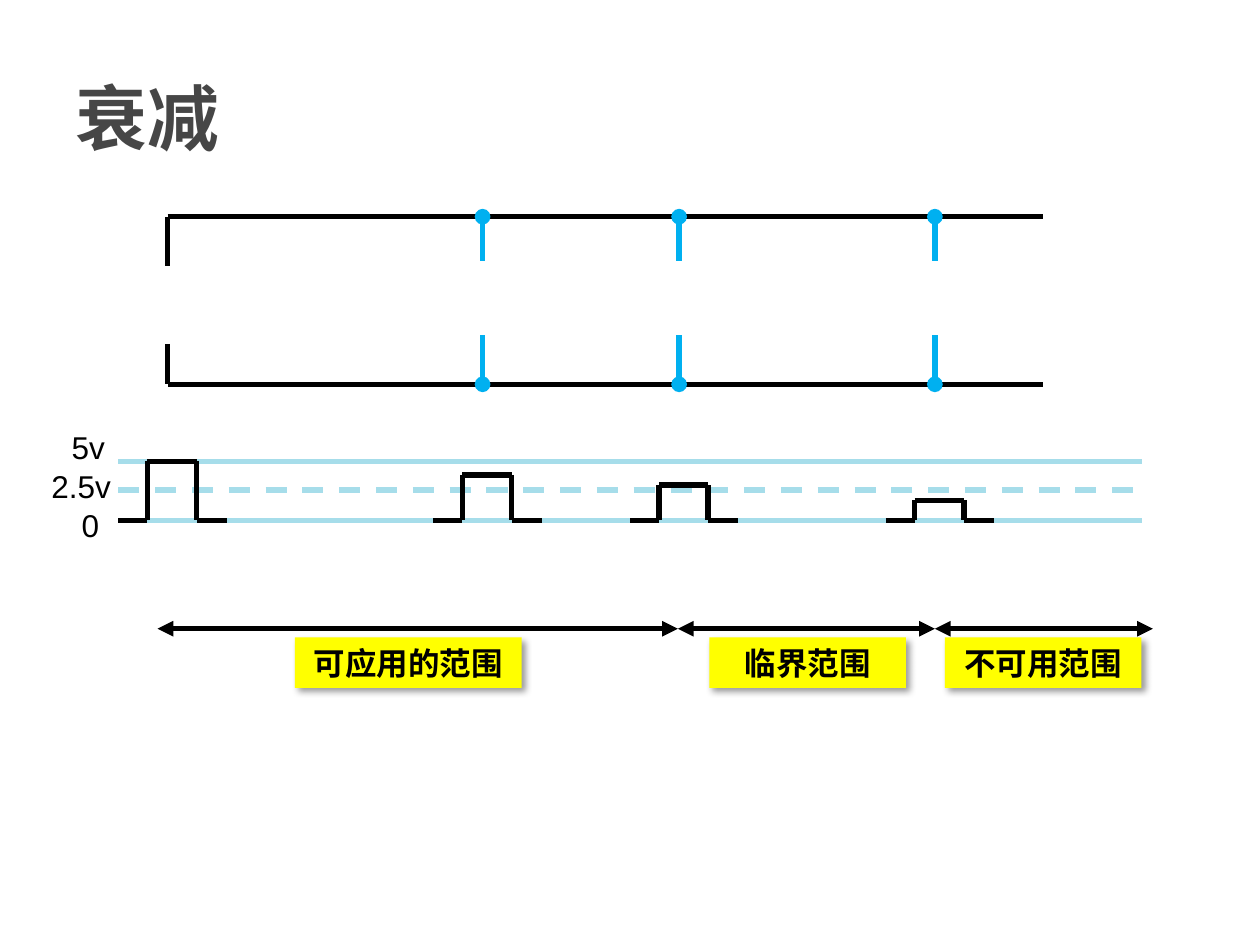
from lxml import etree
from pptx import Presentation
from pptx.dml.color import RGBColor
from pptx.enum.dml import MSO_LINE
from pptx.enum.shapes import MSO_CONNECTOR, MSO_SHAPE
from pptx.enum.text import MSO_ANCHOR, PP_ALIGN
from pptx.oxml.ns import qn
from pptx.util import Inches, Pt

BLACK = RGBColor(0x00, 0x00, 0x00)
GRAY = RGBColor(0x46, 0x46, 0x46)
PALE_BLUE = RGBColor(0xA6, 0xDD, 0xEA)
BLUE = RGBColor(0x00, 0xB0, 0xF0)
YELLOW = RGBColor(0xFF, 0xFF, 0x00)
STRAIGHT = MSO_CONNECTOR.STRAIGHT
RECTANGLE = MSO_SHAPE.RECTANGLE
DASH = MSO_LINE.DASH
MIDDLE = MSO_ANCHOR.MIDDLE
LEFT, CENTER = PP_ALIGN.LEFT, PP_ALIGN.CENTER

presentation = Presentation()
presentation.slide_width = Inches(10)
presentation.slide_height = Inches(7.5)
slide = presentation.slides.add_slide(presentation.slide_layouts[6])


def add_line(x1, y1, x2, y2, color=BLACK, dash=None, head=None, tail=None):
    line = slide.shapes.add_connector(
        STRAIGHT, Inches(x1), Inches(y1), Inches(x2), Inches(y2))
    line.line.color.rgb = color
    line.line.width = Pt(3)
    if dash:
        line.line.dash_style = dash
    properties = line._element.spPr
    for tag, end in (("a:headEnd", head), ("a:tailEnd", tail)):
        if end:
            etree.SubElement(properties.find(qn("a:ln")), qn(tag), type=end)
    etree.SubElement(properties, qn("a:effectLst"))


def write_text(shape, text, wrap=True, align=LEFT, **font_format):
    shape.text_frame.word_wrap = wrap
    paragraph = shape.text_frame.paragraphs[0]
    paragraph.alignment = align
    run = paragraph.add_run()
    run.text = text
    run.font.color.rgb = font_format.pop("color", BLACK)
    settings = {"name": "Arial", "size": Pt(18), **font_format}
    for name, value in settings.items():
        setattr(run.font, name, value)


# Voltage reference lines
HIGH, HALF, ZERO = 3.66, 3.89, 4.13
for y, dash in ((HALF, DASH), (HIGH, None), (ZERO, None)):
    add_line(0.94, y, 9.06, y, PALE_BLUE, dash)

# Title
title = slide.shapes.add_textbox(Inches(0.5), Inches(0.3), Inches(9), Inches(1.25))
title.text_frame.vertical_anchor = MIDDLE
write_text(title, "衰减", name="Courier New", size=Pt(41), bold=True, color=GRAY)

# Transmission line
TOP, BOTTOM = 1.72, 3.05
for y in (TOP, BOTTOM):
    add_line(1.33, y, 8.28, y)
add_line(1.33, TOP, 1.33, 2.11)
add_line(1.33, 2.73, 1.33, BOTTOM)

# Taps along the transmission line
for x in (3.83, 5.39, 7.42):
    add_line(x, TOP, x, 2.07, BLUE, head="oval")
    add_line(x, 2.66, x, BOTTOM, BLUE, tail="oval")

# Weakening pulses: start and peak
for start, peak in ((0.94, HIGH), (3.44, 3.77), (5, 3.85), (7.03, 3.97)):
    rise, fall, end = start + 0.23, start + 0.62, start + 0.86
    add_line(start, ZERO, rise, ZERO)
    add_line(rise, peak, rise, ZERO)
    add_line(fall, peak, fall, ZERO)
    add_line(rise, peak, fall, peak)
    add_line(fall, ZERO, end, ZERO)

# Voltage labels
for text, x, y, width, wrap in (("0", 0.55, 3.97, 0.34, False),
                                ("5v", 0.47, 3.35, 0.47, False),
                                ("2.5v", 0.31, 3.66, 0.7, True)):
    label = slide.shapes.add_textbox(Inches(x), Inches(y), Inches(width), Inches(0.4))
    write_text(label, text, wrap)

# Range arrows
bounds = (1.25, 5.38, 7.42, 9.15)
for left, right in zip(bounds, bounds[1:]):
    add_line(left, 4.99, right, 4.99, head="triangle", tail="triangle")

# Range labels with a soft shadow
for text, x, width in (("可应用的范围", 2.34, 1.8),
                       ("临界范围", 5.63, 1.56),
                       ("不可用范围", 7.5, 1.56)):
    box = slide.shapes.add_shape(
        RECTANGLE, Inches(x), Inches(5.06), Inches(width), Inches(0.4))
    box.fill.solid()
    box.fill.fore_color.rgb = YELLOW
    box.line.fill.background()
    box.shadow.inherit = False
    effects = box._element.spPr.find(qn("a:effectLst"))
    shadow = etree.SubElement(
        effects, qn("a:outerShdw"), blurRad=str(Pt(4)), dist=str(Pt(3)),
        dir=str(45 * 60000), algn="tl", rotWithShape="0")
    shadow_color = etree.SubElement(shadow, qn("a:srgbClr"), val=str(BLACK))
    etree.SubElement(shadow_color, qn("a:alpha"), val="40000")
    write_text(box, text, align=CENTER, bold=True)

presentation.save("out.pptx")
